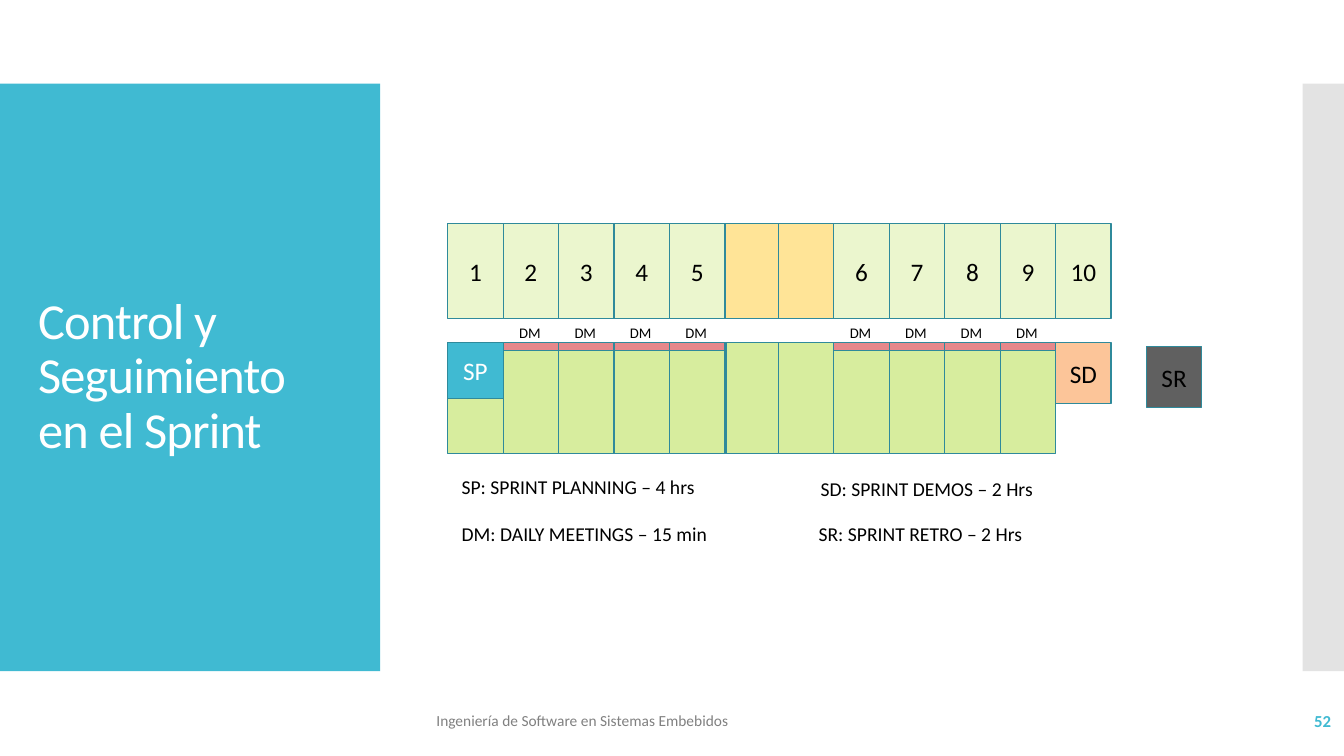
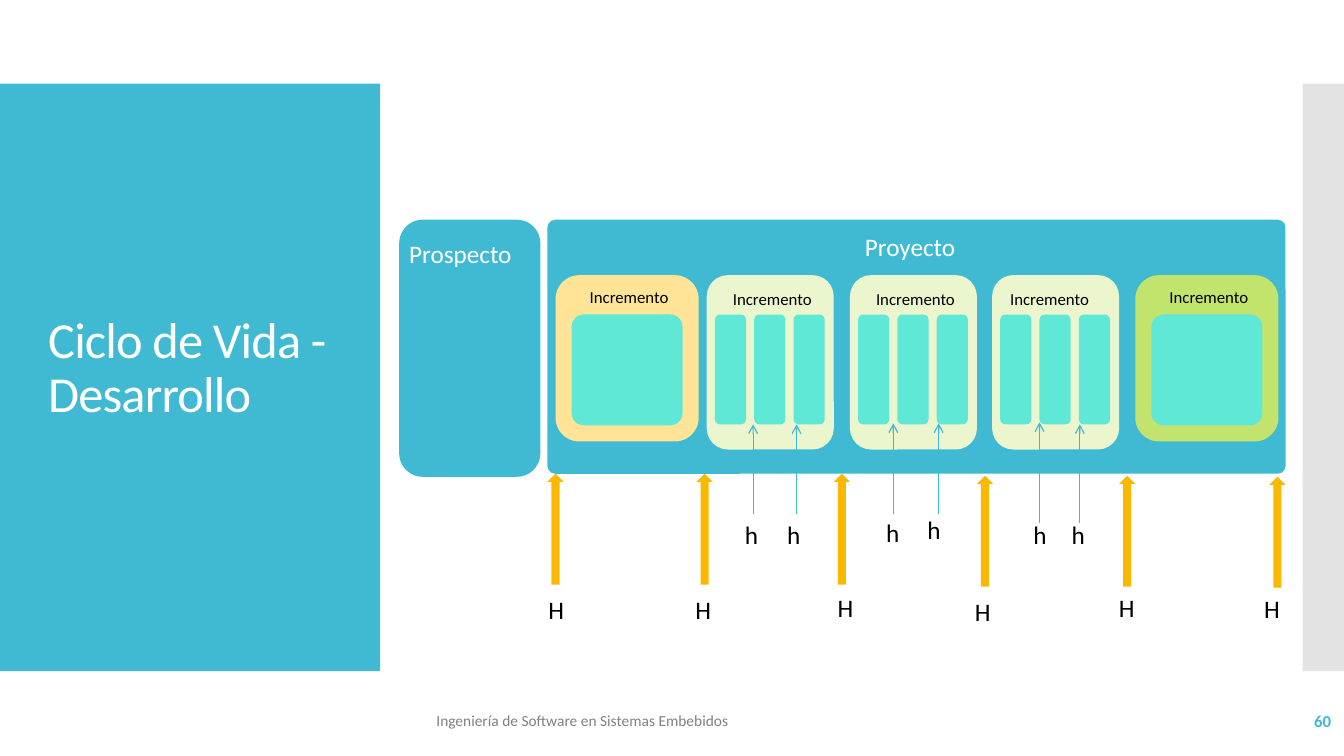
from dataclasses import dataclass

from lxml.etree import SubElement
from pptx import Presentation
from pptx.dml.color import RGBColor
from pptx.enum.shapes import MSO_CONNECTOR, MSO_SHAPE
from pptx.enum.text import MSO_ANCHOR, PP_ALIGN
from pptx.oxml.ns import qn
from pptx.util import Inches, Pt


@dataclass(frozen=True)
class Theme:
    """Colours, font and type sizes shared by the slides."""

    font: str = "Calibri"
    accent: str = "40BAD2"
    outline: str = "2F8A9B"
    side_band: str = "C8C8C8"
    footer: str = "808080"
    white: str = "FFFFFF"
    black: str = "000000"
    pale_green: str = "EBF6CE"
    light_green: str = "D7ED9E"
    green: str = "C2E46D"
    yellow: str = "FFE497"
    amber: str = "FAB900"
    red: str = "E6888B"
    orange: str = "FCC599"
    grey: str = "606060"
    mint: str = "5FE8D6"
    title_size: float = 36
    body_size: float = 18
    legend_size: float = 14
    label_size: float = 12
    footer_size: float = 11
    small_size: float = 10.5
    line_width: float = 0.85


THEME = Theme()
FOOTER_TEXT = "Ingeniería de Software en Sistemas Embebidos"


def apply_format(target, values):
    """Set each named attribute on the target."""
    for name, value in values.items():
        setattr(target, name, value)


def write_text(shape, text, size, color, bold=False, **paragraph_format):
    """Write one formatted paragraph into a shape and return its run."""
    paragraph = shape.text_frame.paragraphs[0]
    apply_format(paragraph, paragraph_format)
    run = paragraph.add_run()
    run.text = text
    apply_format(run.font, {"name": THEME.font, "size": Pt(size), "bold": bold})
    run.font.color.rgb = RGBColor.from_string(color)
    return run


def add_text(slide, box, text, size=THEME.body_size, color=THEME.black,
             anchor=MSO_ANCHOR.TOP, wrap=True, **text_format):
    """Add a text box and return its run."""
    shape = slide.shapes.add_textbox(*map(Inches, box))
    apply_format(shape.text_frame, {"word_wrap": wrap, "vertical_anchor": anchor})
    return write_text(shape, text, size, color, **text_format)


def add_block(slide, box, fill, kind=MSO_SHAPE.RECTANGLE, corner=None):
    """Add a flat filled shape without an outline."""
    shape = slide.shapes.add_shape(kind, *map(Inches, box))
    shape.shadow.inherit = False
    shape.fill.solid()
    shape.fill.fore_color.rgb = RGBColor.from_string(fill)
    shape.line.fill.background()
    if corner is not None:
        shape.adjustments[0] = corner
    return shape


def add_rounded(slide, box, fill, corner=None):
    """Add a flat rounded rectangle."""
    return add_block(slide, box, fill, MSO_SHAPE.ROUNDED_RECTANGLE, corner)


def add_cell(slide, box, fill, text="", color=THEME.black):
    """Add an outlined schedule cell with optional centred text."""
    shape = add_block(slide, box, fill)
    shape.line.color.rgb = RGBColor.from_string(THEME.outline)
    shape.line.width = Pt(THEME.line_width)
    shape.text_frame.vertical_anchor = MSO_ANCHOR.MIDDLE
    if text:
        write_text(shape, text, THEME.body_size, color, alignment=PP_ALIGN.CENTER)


def add_thin_arrow(slide, left, bottom, top):
    """Add a thin vertical arrow that points up."""
    ends = map(Inches, (left, bottom, left, top))
    connector = slide.shapes.add_connector(MSO_CONNECTOR.STRAIGHT, *ends)
    connector.line.color.rgb = RGBColor.from_string(THEME.accent)
    connector.line.width = Pt(THEME.line_width)
    properties = connector._element.spPr
    SubElement(properties.find(qn("a:ln")), qn("a:tailEnd"), type="arrow")
    SubElement(properties, qn("a:effectLst"))


def add_framed_slide(presentation, title, title_box, number):
    """Add a blank slide with bands, title, footer and slide number."""
    slide = presentation.slides.add_slide(presentation.slide_layouts[6])
    add_block(slide, (0, 0.83, 3.77, 5.83), THEME.accent)
    band = add_block(slide, (12.92, 0.83, 0.42, 5.83), THEME.side_band)
    band_color = band._element.spPr.find(f"{qn('a:solidFill')}/{qn('a:srgbClr')}")
    SubElement(band_color, qn("a:alpha"), val="50000")
    run = add_text(slide, title_box, title, THEME.title_size, THEME.white,
                   MSO_ANCHOR.MIDDLE, line_spacing=0.9)
    run.font._element.set("spc", "-60")
    add_text(slide, (4.23, 6.95, 6.46, 0.4), FOOTER_TEXT, THEME.footer_size,
             THEME.footer, MSO_ANCHOR.MIDDLE)
    add_text(slide, (11.63, 6.95, 1.67, 0.4), str(number), THEME.label_size,
             THEME.accent, MSO_ANCHOR.MIDDLE, bold=True, alignment=PP_ALIGN.RIGHT)
    return slide


def add_sprint_slide(presentation):
    """Build the sprint calendar with its meetings and legend."""
    slide = add_framed_slide(presentation, "Control y Seguimiento en el Sprint",
                             (0.28, 1.23, 3.22, 5.03), 52)
    width = 0.55
    day_lefts = [start + width * day for start in (4.44, 8.27) for day in range(5)]
    for left in (7.17, 7.72):
        add_cell(slide, (left, 2.22, width, 0.94), THEME.yellow)
    for day, left in enumerate(day_lefts, 1):
        add_cell(slide, (left, 2.22, width, 0.94), THEME.pale_green, str(day))
    for left in (7.2, 7.72):
        add_cell(slide, (left, 3.4, width, 1.1), THEME.light_green)
    for left in day_lefts[1:-1]:
        add_cell(slide, (left, 3.48, width, 1.02), THEME.light_green)
        add_cell(slide, (left, 3.4, width, 0.08), THEME.red)
        add_text(slide, (left + 0.06, 3.16, 0.43, 0.29), "DM", THEME.small_size,
                 wrap=False)
    first, last = day_lefts[0], day_lefts[-1]
    add_cell(slide, (first, 3.4, width, 0.55), THEME.accent, "SP", THEME.white)
    add_cell(slide, (first, 3.95, width, 0.55), THEME.light_green)
    add_cell(slide, (last, 3.4, width, 0.6), THEME.orange, "SD")
    add_cell(slide, (11.37, 3.44, width, 0.6), THEME.grey, "SR")
    legend = (
        (4.48, 4.66, "SP: SPRINT PLANNING – 4 hrs"),
        (4.48, 5.13, "DM: DAILY MEETINGS – 15 min"),
        (8.04, 4.68, "SD: SPRINT DEMOS – 2 Hrs"),
        (8.02, 5.13, "SR: SPRINT RETRO – 2 Hrs"),
    )
    for left, top, text in legend:
        add_text(slide, (left, top, 3.53, 0.34), text, THEME.legend_size)


def add_increment_label(slide, left, top):
    """Add the caption of an increment."""
    add_text(slide, (left, top, 1.01, 0.3), "Incremento", THEME.label_size)


def add_whole_increment(slide, left, fill):
    """Add an increment that holds a single block."""
    add_rounded(slide, (left, 2.73, 1.42, 1.65), fill)
    add_rounded(slide, (left + 0.16, 3.12, 1.1, 1.1), THEME.mint, 0.11)
    add_increment_label(slide, left + 0.24, 2.8)


def add_split_increment(slide, left, label_left):
    """Add an increment that holds three equal bars."""
    add_rounded(slide, (left, 2.73, 1.26, 1.73), THEME.pale_green)
    for bar in range(3):
        add_rounded(slide, (left + 0.08 + 0.39 * bar, 3.12, 0.31, 1.09), THEME.mint)
    add_increment_label(slide, label_left, 2.82)


def add_life_cycle_slide(presentation):
    """Build the life cycle with increments and milestones."""
    slide = add_framed_slide(presentation, "Ciclo de Vida - Desarrollo",
                             (0.38, 2.98, 3, 1.37), 60)
    add_rounded(slide, (3.96, 2.18, 1.4, 2.55), THEME.accent)
    add_rounded(slide, (5.43, 2.18, 7.32, 2.52), THEME.accent, 0.03)
    add_text(slide, (3.96, 2.32, 1.26, 0.4), "Prospecto", color=THEME.white, wrap=False)
    add_text(slide, (8.48, 2.25, 1.15, 0.4), "Proyecto", color=THEME.white)
    for left, fill in ((5.51, THEME.yellow), (11.26, THEME.green)):
        add_whole_increment(slide, left, fill)
    for left, label_left in ((7.01, 7.17), (8.43, 8.59), (9.84, 9.92)):
        add_split_increment(slide, left, label_left)
    milestones = (
        (5.43, 4.7, 5.34, 5.85),
        (6.91, 4.7, 6.8, 5.85),
        (8.27, 4.7, 8.21, 5.83),
        (9.69, 4.72, 9.57, 5.87),
        (11.1, 4.72, 11, 5.83),
        (12.59, 4.73, 12.44, 5.84),
    )
    for left, top, label_left, label_top in milestones:
        add_block(slide, (left, top, 0.16, 1.1), THEME.amber, MSO_SHAPE.UP_ARROW)
        add_text(slide, (label_left, label_top, 0.37, 0.4), "H")
    minor_milestones = (
        (7.47, 5.1, 4.21, 7.29, 5.1),
        (7.9, 5.1, 4.21, 7.71, 5.1),
        (8.86, 5.1, 4.2, 8.69, 5.08),
        (9.31, 5.1, 4.2, 9.1, 5.05),
        (10.31, 5.19, 4.19, 10.15, 5.1),
        (10.71, 5.19, 4.21, 10.53, 5.1),
    )
    for left, bottom, top, label_left, label_top in minor_milestones:
        add_thin_arrow(slide, left, bottom, top)
        add_text(slide, (label_left, label_top, 0.34, 0.4), "h")


def main():
    """Build and save the presentation."""
    presentation = Presentation()
    apply_format(presentation, {"slide_width": Inches(13.33), "slide_height": Inches(7.5)})
    add_sprint_slide(presentation)
    add_life_cycle_slide(presentation)
    presentation.save("out.pptx")


if __name__ == "__main__":
    main()
